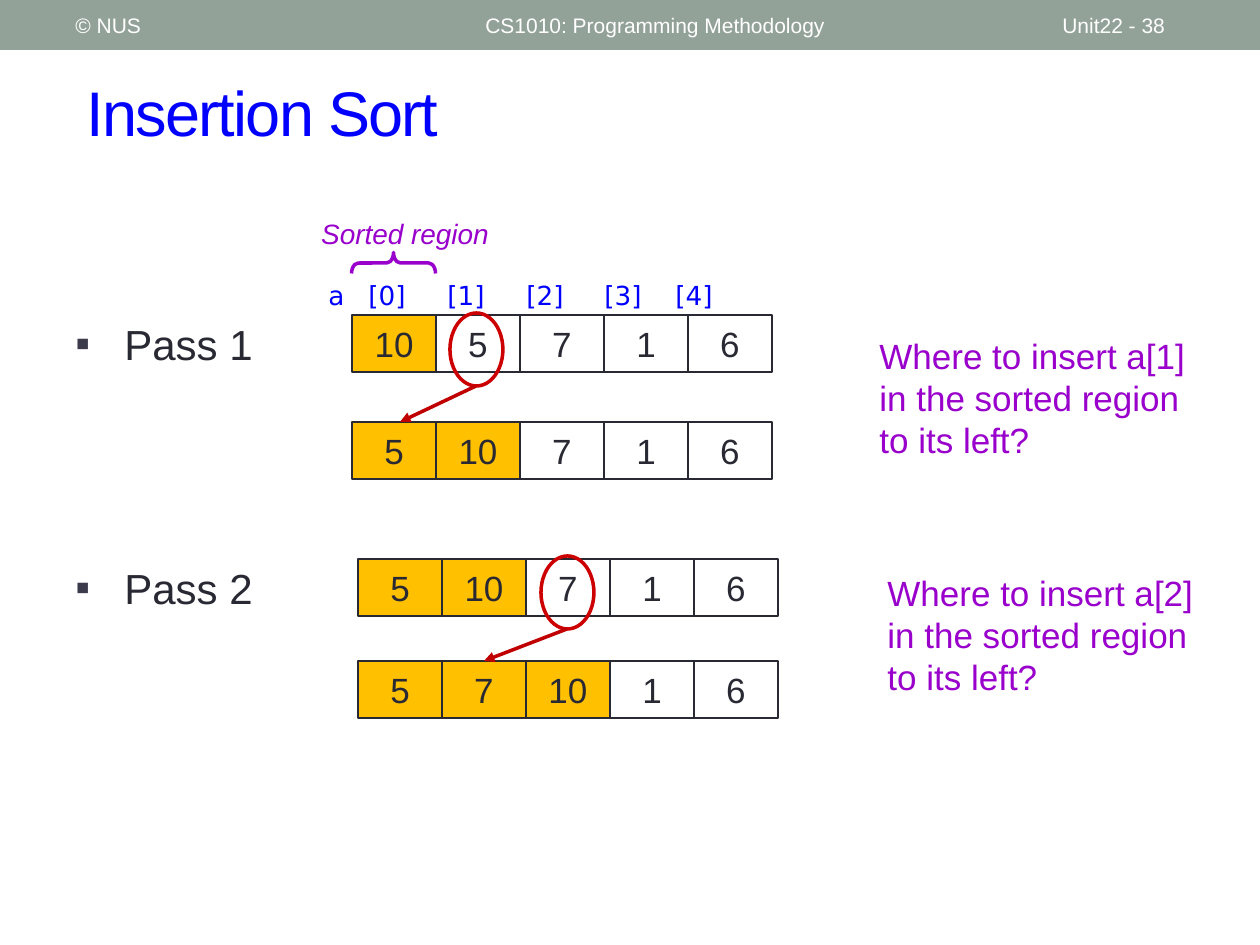
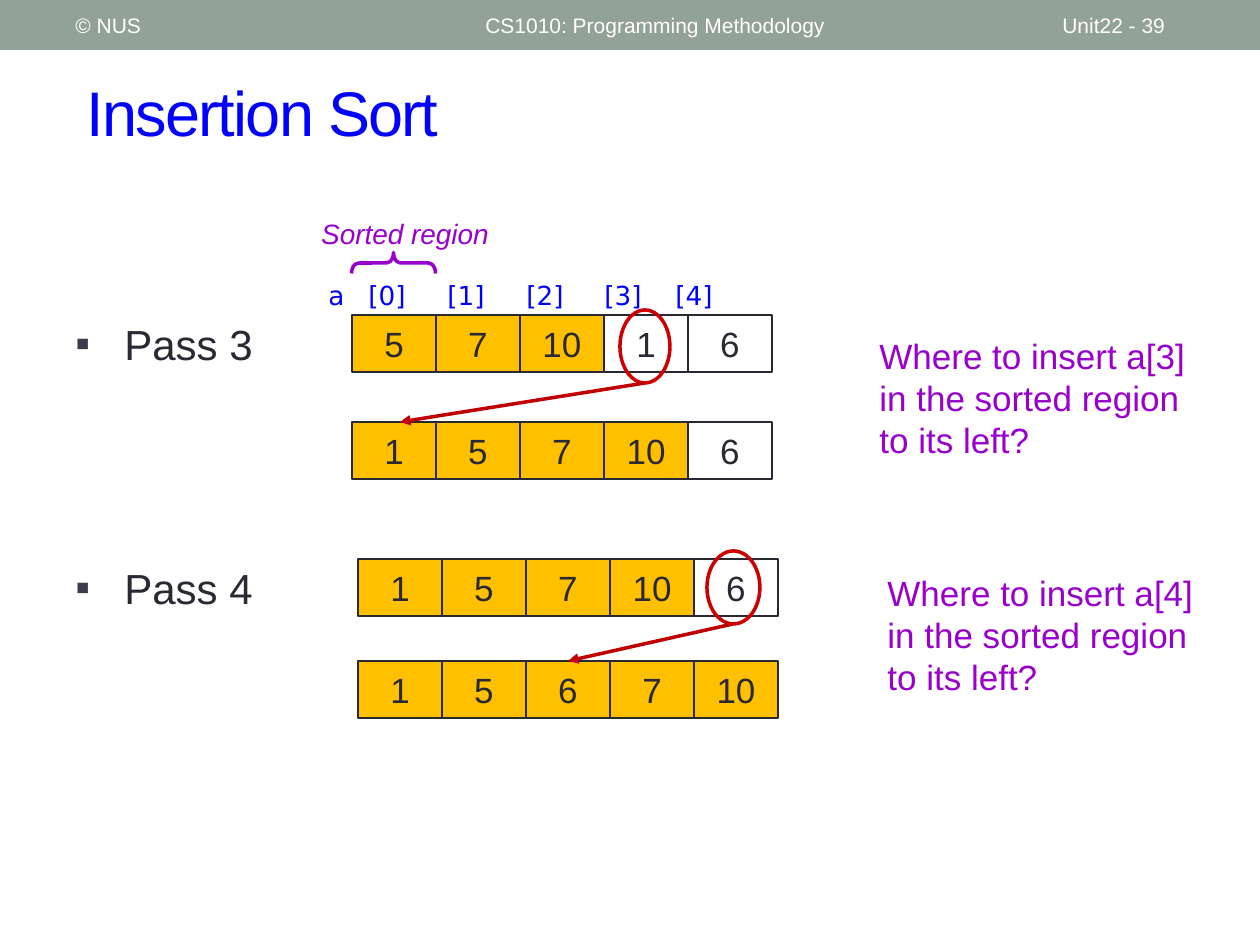
from dataclasses import dataclass

from lxml.etree import SubElement
from pptx import Presentation
from pptx.dml.color import RGBColor
from pptx.enum.shapes import MSO_CONNECTOR, MSO_SHAPE
from pptx.enum.text import MSO_ANCHOR, PP_ALIGN
from pptx.oxml.ns import qn
from pptx.util import Inches, Pt

PX = 7257  # EMU per px, at 126 px to the inch


@dataclass(frozen=True)
class Theme:
    band: RGBColor = RGBColor.from_string("93A299")
    white: RGBColor = RGBColor.from_string("FFFFFF")
    ink: RGBColor = RGBColor.from_string("292934")
    blue: RGBColor = RGBColor.from_string("0000FF")
    purple: RGBColor = RGBColor.from_string("9900CC")
    sorted_fill: RGBColor = RGBColor.from_string("FFC000")
    ring: RGBColor = RGBColor.from_string("CC0000")
    arrow: RGBColor = RGBColor.from_string("C00000")
    font: str = "Arial"
    index_font: str = "DejaVu Sans"
    title_size: Pt = Pt(36)
    pass_size: Pt = Pt(24)
    value_size: Pt = Pt(20)
    region_size: Pt = Pt(16)
    index_size: Pt = Pt(15)
    header_size: Pt = Pt(12)


THEME = Theme()
HEADER = {"name": THEME.font, "size": THEME.header_size, "color": THEME.white}
TITLE = {"name": THEME.font, "size": THEME.title_size, "color": THEME.blue}
PASS = {"name": THEME.font, "size": THEME.pass_size, "color": THEME.ink}
VALUE = {"name": THEME.font, "size": THEME.value_size, "color": THEME.ink}
QUESTION = VALUE | {"color": THEME.purple}
REGION = QUESTION | {"size": THEME.region_size, "italic": True}
INDEX = {"name": THEME.index_font, "size": THEME.index_size, "color": THEME.blue}

CELL_WIDTH, CELL_HEIGHT = 84, 57
ARROW_COLUMN = 400  # centre of column 0 for every arrowhead
INDEX_STOPS = (40, 119, 198, 276, 347)

# Upper and lower half of a slide: row left, row tops, question left and top
HALVES = [(352, (315, 422), 867, 328), (358, (559, 661), 875, 565)]
# Ring around the value to insert: left, top, width, height
RINGS = [(450, 313, 53, 73), (541, 556, 53, 73), (620, 310, 50, 73), (707, 551, 53, 73)]


def write(shape, lines, style, align=PP_ALIGN.LEFT, anchor=MSO_ANCHOR.TOP):
    """Put one styled paragraph per line in the shape and return the paragraphs."""
    frame = shape.text_frame
    frame.word_wrap = True
    frame.vertical_anchor = anchor
    for number, line in enumerate(lines):
        paragraph = frame.add_paragraph() if number else frame.paragraphs[0]
        paragraph.alignment = align
        run = paragraph.add_run()
        run.text = line
        for name, value in style.items():
            if name == "color":
                run.font.color.rgb = value
            else:
                setattr(run.font, name, value)
    return frame.paragraphs


def add_figure(slide, kind, box, fill=None, line=None, width=1):
    """Add a preset shape without shadow; box is left, top, width, height in px."""
    shape = slide.shapes.add_shape(kind, *(length * PX for length in box))
    shape.shadow.inherit = False
    if fill is None:
        shape.fill.background()
    else:
        shape.fill.solid()
        shape.fill.fore_color.rgb = fill
    if line is None:
        shape.line.fill.background()
    else:
        shape.line.color.rgb = line
        shape.line.width = Pt(width)
    return shape


presentation = Presentation()
presentation.slide_width, presentation.slide_height = Inches(10), Inches(7.5)
values = [10, 5, 7, 1, 6]

for slide_number, first_pass in ((38, 1), (39, 3)):
    slide = presentation.slides.add_slide(presentation.slide_layouts[6])
    add_figure(slide, MSO_SHAPE.RECTANGLE, (0, 0, 1260, 50), THEME.band)

    for left, top, width, height, text, style in (
        (63, 3, 399, 45, "© NUS", HEADER),
        (473, 3, 567, 45, "CS1010: Programming Methodology", HEADER),
        (1050, 3, 147, 45, f"Unit22 - {slide_number}", HEADER),
        (74, 53, 1155, 116, "Insertion Sort", TITLE),
    ):
        label = slide.shapes.add_textbox(left * PX, top * PX, width * PX, height * PX)
        paragraphs = write(label, [text], style, anchor=MSO_ANCHOR.MIDDLE)
        if style is TITLE:
            paragraphs[0].runs[0].font._element.set("spc", "-100")

    # Pass labels
    label = slide.shapes.add_textbox(63 * PX, 312 * PX, 230 * PX, 310 * PX)
    names = [f"Pass {first_pass}", f"Pass {first_pass + 1}"]
    for number, paragraph in enumerate(write(label, names, PASS)):
        properties = paragraph._p.get_or_add_pPr()
        properties.set("marL", str(49 * PX))
        properties.set("indent", str(-49 * PX))
        color = SubElement(properties, qn("a:buClr"))
        SubElement(color, qn("a:srgbClr"), val="3B3B4B")
        SubElement(properties, qn("a:buFont"), typeface=THEME.font)
        SubElement(properties, qn("a:buChar"), char="▪")
        paragraph.line_spacing = Pt(28.8)
        if number:
            paragraph.space_before = Pt(110.6)

    # Sorted region and index labels above the first row
    label = slide.shapes.add_textbox(300 * PX, 210 * PX, 210 * PX, 47 * PX)
    write(label, ["Sorted region"], REGION, PP_ALIGN.CENTER)
    brace = add_figure(slide, MSO_SHAPE.LEFT_BRACE, (383, 221, 21, 84),
                       line=THEME.purple, width=2)
    brace.rotation = 90
    brace.adjustments[0] = 0.33
    label = slide.shapes.add_textbox(316 * PX, 273 * PX, 462 * PX, 44 * PX)
    indices = "\t".join(["a"] + [f"[{index}]" for index in range(len(values))])
    paragraph = write(label, [indices], INDEX)[0]
    stops = SubElement(paragraph._p.get_or_add_pPr(), qn("a:tabLst"))
    for stop in INDEX_STOPS:
        SubElement(stops, qn("a:tab"), pos=str(stop * PX), algn="l")

    for current, half in enumerate(HALVES, start=first_pass):
        row_left, row_tops, question_left, question_top = half
        moved = values[current]
        inserted = sorted(values[:current + 1]) + values[current + 1:]
        rows = ((values, current), (inserted, current + 1))
        for top, (row, sorted_count) in zip(row_tops, rows):
            for column, value in enumerate(row):
                fill = THEME.sorted_fill if column < sorted_count else THEME.white
                box = (row_left + column * CELL_WIDTH, top, CELL_WIDTH, CELL_HEIGHT)
                cell = add_figure(slide, MSO_SHAPE.RECTANGLE, box, fill, THEME.ink)
                write(cell, [str(value)], VALUE, PP_ALIGN.CENTER, MSO_ANCHOR.MIDDLE)

        ring = RINGS[current - 1]
        add_figure(slide, MSO_SHAPE.OVAL, ring, line=THEME.ring, width=2)
        left, top, width, height = ring
        target = ARROW_COLUMN + inserted.index(moved) * CELL_WIDTH
        arrow = slide.shapes.add_connector(
            MSO_CONNECTOR.STRAIGHT, (left + width // 2) * PX, (top + height) * PX,
            target * PX, row_tops[1] * PX)
        arrow.line.color.rgb = THEME.arrow
        arrow.line.width = Pt(2)
        SubElement(arrow.line._get_or_add_ln(), qn("a:tailEnd"), type="triangle")
        SubElement(arrow._element.spPr, qn("a:effectLst"))

        label = slide.shapes.add_textbox(
            question_left * PX, question_top * PX, 336 * PX, 139 * PX)
        question = f"Where to insert a[{current}] in the sorted region to its left?"
        write(label, [question], QUESTION)[0].line_spacing = Pt(24)
        values = inserted

presentation.save("out.pptx")
